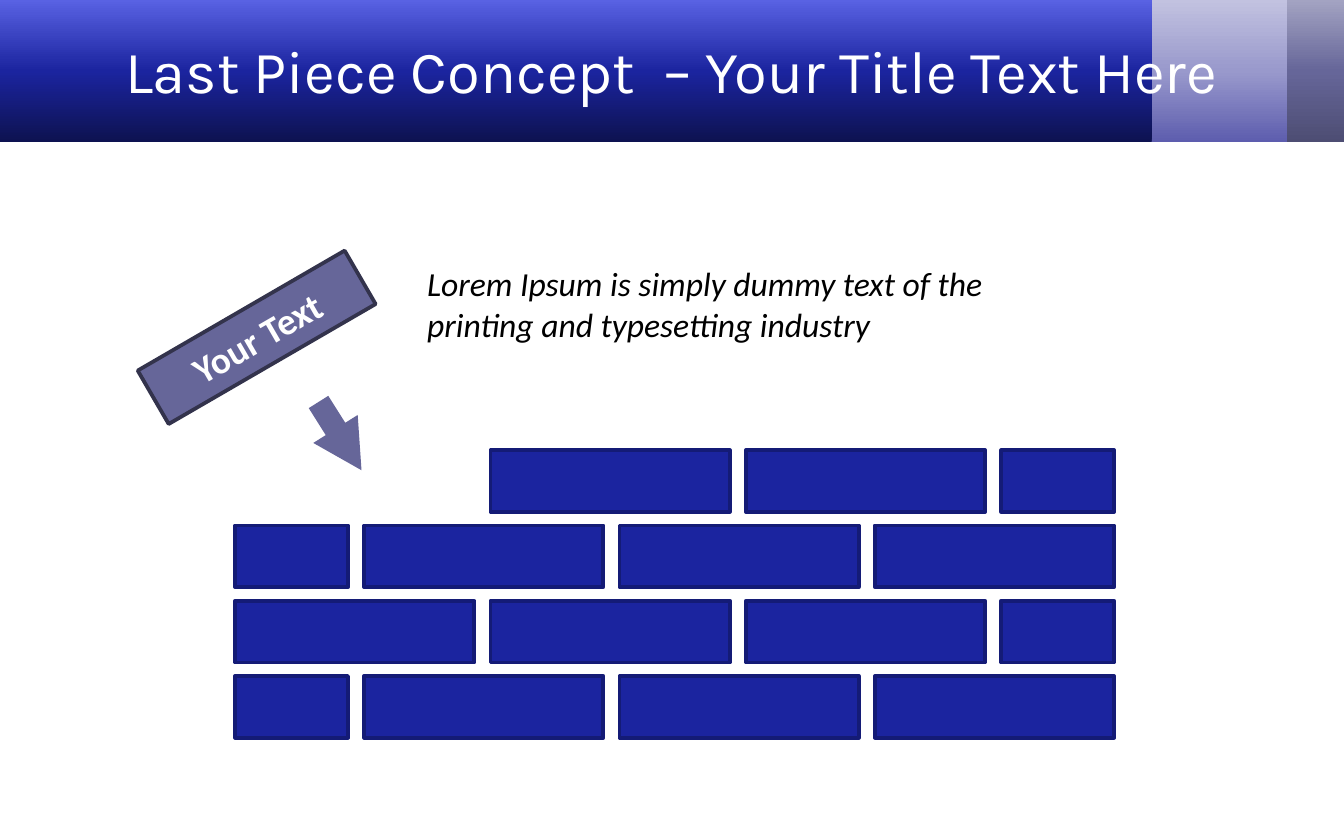
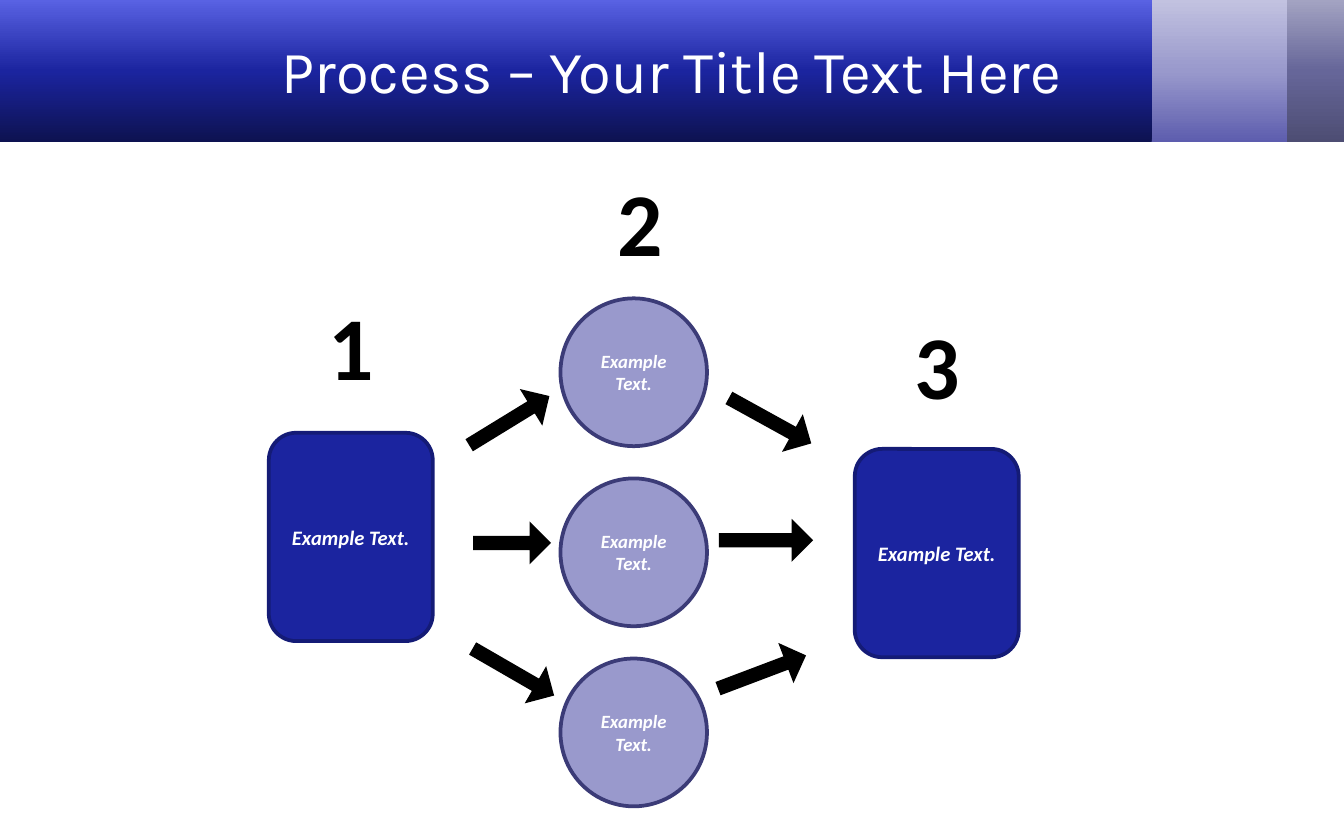
import copy

import pptx
import pptx.dml.color
import pptx.enum.shapes
import pptx.enum.text
import pptx.util

PX = 9144
SHAPE = pptx.enum.shapes.MSO_SHAPE
ALIGN = pptx.enum.text.PP_ALIGN
MIDDLE = pptx.enum.text.MSO_ANCHOR.MIDDLE
FIT = pptx.enum.text.MSO_AUTO_SIZE
BLUE, BLUE_EDGE = "1B249F", "141B76"
SLATE, SLATE_EDGE = "666699", "33334C"
LILAC, LILAC_EDGE = "9999CC", "3B3B77"
WHITE, BLACK = "FFFFFF", "000000"
BANDS = [
    (943, 57, ("4D4D73", SLATE, "A3A3C2")),
    (853, 105, ("5D5DAE", LILAC, "C2C2E0")),
    (0, 857, ("0D1250", BLUE, "5962E3")),
]


def rgb(value):
    """Turn a hex string into a colour."""
    return pptx.dml.color.RGBColor.from_string(value)


def emu(*lengths):
    """Turn px lengths into EMU."""
    return [pptx.util.Emu(n * PX) for n in lengths]


def write(tf, text, size, color, font="Calibri", bold=False, italic=False, align=ALIGN.CENTER):
    """Put one formatted run in a text frame."""
    tf.word_wrap = True
    p = tf.paragraphs[0]
    p.alignment = align
    r = p.add_run()
    r.text = text
    r.font.name, r.font.size = font, pptx.util.Pt(size)
    r.font.bold, r.font.italic = bold, italic
    r.font.color.rgb = rgb(color)


def add_shape(s, kind, box, fill, edge=None, rotation=0):
    """Add a flat preset shape with an optional outline."""
    sp = s.shapes.add_shape(kind, *emu(*box))
    sp.shadow.inherit = False
    sp.rotation = rotation
    sp.fill.solid()
    sp.fill.fore_color.rgb = rgb(fill)
    if edge:
        sp.line.color.rgb = rgb(edge)
        sp.line.width = pptx.util.Pt(2)
    else:
        sp.line.fill.background()
    return sp


def add_label_shape(s, kind, box, fill, edge, text, size, italic=True, rotation=0):
    """Add a shape with bold white text in its middle."""
    sp = add_shape(s, kind, box, fill, edge, rotation)
    sp.text_frame.vertical_anchor = MIDDLE
    write(sp.text_frame, text, size, WHITE, bold=True, italic=italic)


def add_arrow(s, box, fill, rotation, shaft, head):
    """Add a block arrow with the given shaft and head proportions."""
    sp = add_shape(s, SHAPE.RIGHT_ARROW, box, fill, rotation=rotation)
    sp.adjustments[0], sp.adjustments[1] = shaft, head


def add_text(s, box, text, size, **style):
    """Add a text box that grows with its text."""
    tf = s.shapes.add_textbox(*emu(*box)).text_frame
    write(tf, text, size, BLACK, **style)
    tf.auto_size = FIT.SHAPE_TO_FIT_TEXT
    return tf


def add_number(s, left, top, text):
    """Add a large step number."""
    tf = add_text(s, (left, top, 77, 96), text, 48, bold=True)
    tf.vertical_anchor = MIDDLE
    tf.margin_top = emu(10)[0]


def add_bands(s, layout):
    """Draw the gradient header bands and place them on the layout."""
    tree = layout.shapes.element
    for i, (left, width, colors) in enumerate(BANDS):
        sp = add_shape(s, SHAPE.RECTANGLE, (left, 0, width, 106), colors[1])
        sp.fill.gradient()
        sp.fill.gradient_angle = 90
        first = sp.element.xpath(".//a:gs")[0]
        first.addnext(copy.deepcopy(first))
        for stop, position, color in zip(sp.fill.gradient_stops, (0, 0.5, 1), colors):
            stop.position = position
            stop.color.rgb = rgb(color)
        sp.element.xpath(".//p:cNvPr")[0].set("id", str(101 + i))
        tree.insert(2 + i, sp.element)


def add_title(s, text):
    """Place and format the title placeholder."""
    sp = s.shapes.title
    sp.left, sp.top, sp.width, sp.height = emu(50, 8, 900, 88)
    sp.text_frame.vertical_anchor = MIDDLE
    sp.text_frame.auto_size = FIT.NONE
    write(sp.text_frame, text, 32, WHITE, font="Karla")


def add_wall(s):
    """Lay four courses of bricks, leaving out the first of the top one."""
    gap, full, half = 12, 178, 84
    for row in range(4):
        widths = [half, full, full, full] if row % 2 else [full, full, full, half]
        left = 175
        for col, width in enumerate(widths):
            if row or col:
                add_shape(s, SHAPE.RECTANGLE, (left, 335 + 56 * row, width, 46), BLUE, BLUE_EDGE)
            left += width + gap


def fill_last_piece(s):
    """Build the wall with its missing brick."""
    add_title(s, "Last Piece Concept  – Your Title Text Here")
    add_wall(s)
    add_label_shape(s, SHAPE.RECTANGLE, (102, 228, 178, 46), SLATE, SLATE_EDGE,
                    "Your Text", 20, italic=False, rotation=329.9)
    add_arrow(s, (223, 305, 60, 39), SLATE, 57.8, 0.44, 0.93)
    add_text(s, (308, 191, 483, 71),
             "Lorem Ipsum is simply dummy text of the printing and typesetting industry",
             18, italic=True, align=ALIGN.LEFT)


def fill_process(s):
    """Build the three-step process."""
    add_title(s, "Process – Your Title Text Here")
    for left, top in ((200, 322), (636, 334)):
        add_label_shape(s, SHAPE.ROUNDED_RECTANGLE, (left, top, 122, 155), BLUE, BLUE_EDGE,
                        "Example Text.", 11)
    for i in range(3):
        add_label_shape(s, SHAPE.OVAL, (417, 222 + 134 * i, 109, 110), LILAC, LILAC_EDGE,
                        "Example Text.", 10)
    arrows = [
        (344, 297, 70, 328.5), (352, 388, 58, 0), (347, 484, 70, 30),
        (538, 297, 70, 28.9), (535, 386, 70, 0), (532, 484, 70, 339.3),
    ]
    for left, top, width, rotation in arrows:
        add_arrow(s, (left, top, width, 32), BLACK, rotation, 0.33, 0.5)
    for left, top, text in ((223, 206, "1"), (438, 114, "2"), (659, 220, "3")):
        add_number(s, left, top, text)


def main():
    """Build and save the presentation."""
    prs = pptx.Presentation()
    prs.slide_width, prs.slide_height = emu(1000, 625)
    layout = prs.slide_layouts[5]
    wall, process = (prs.slides.add_slide(layout) for _ in range(2))
    add_bands(wall, layout)
    fill_last_piece(wall)
    fill_process(process)
    prs.save("out.pptx")


if __name__ == "__main__":
    main()
